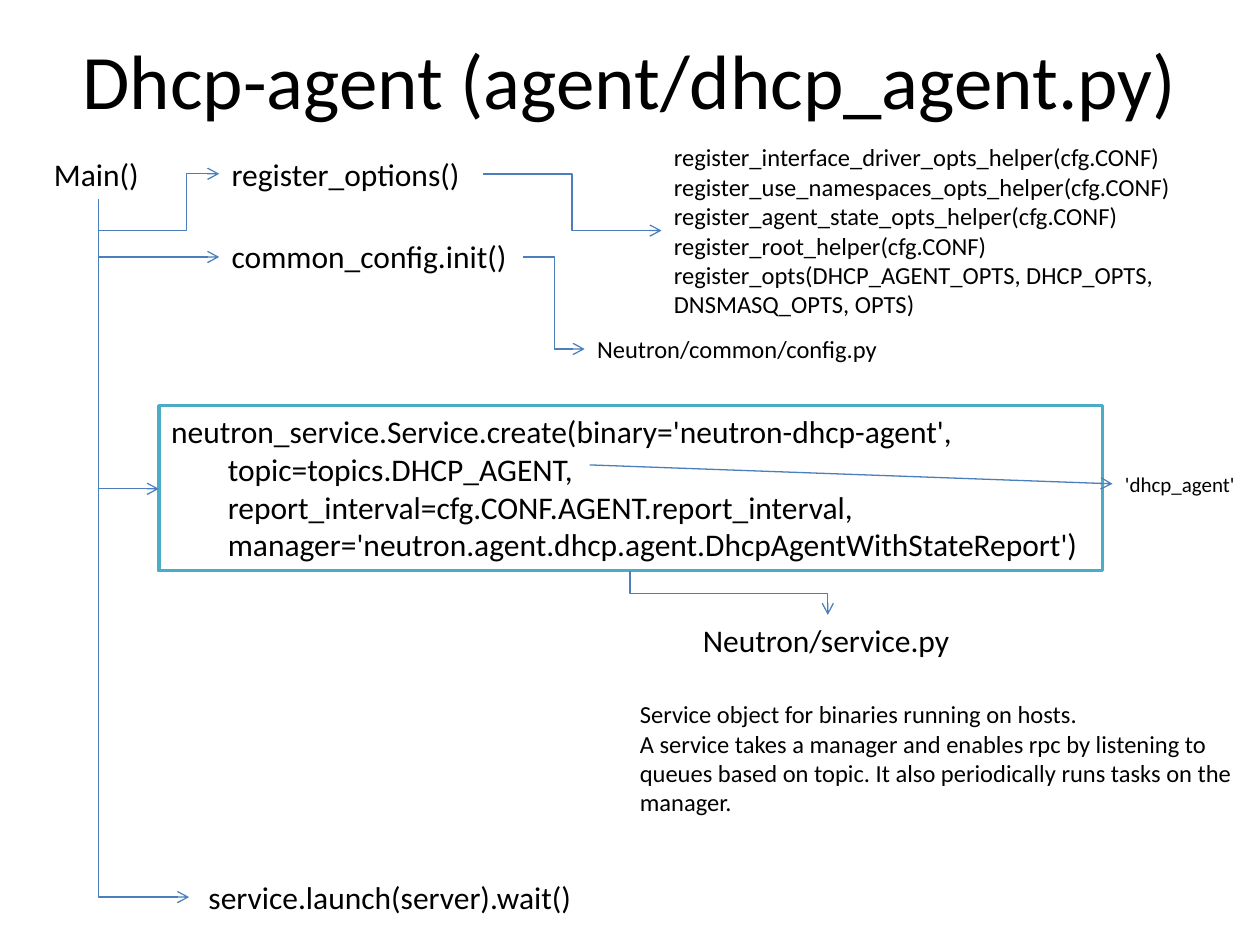
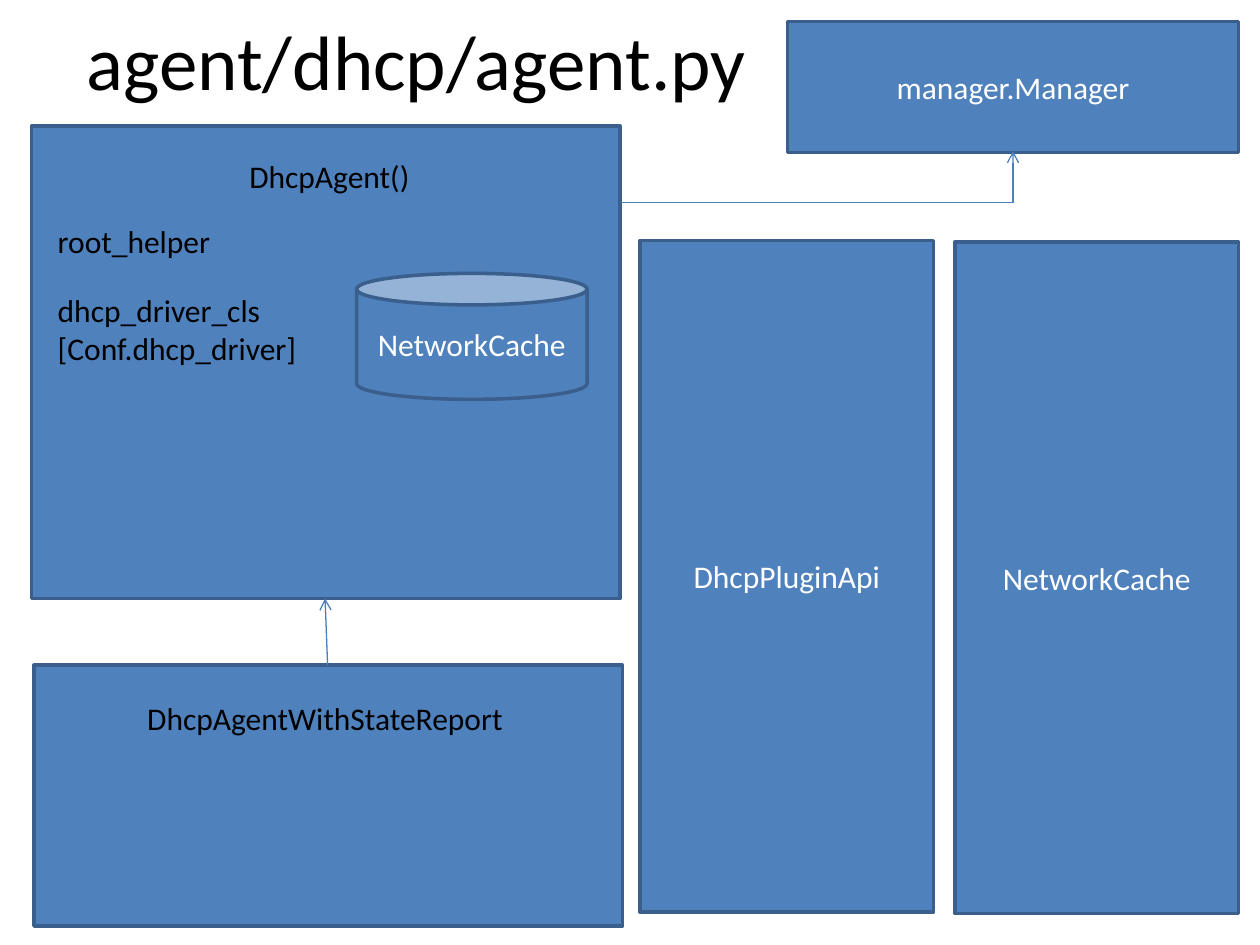
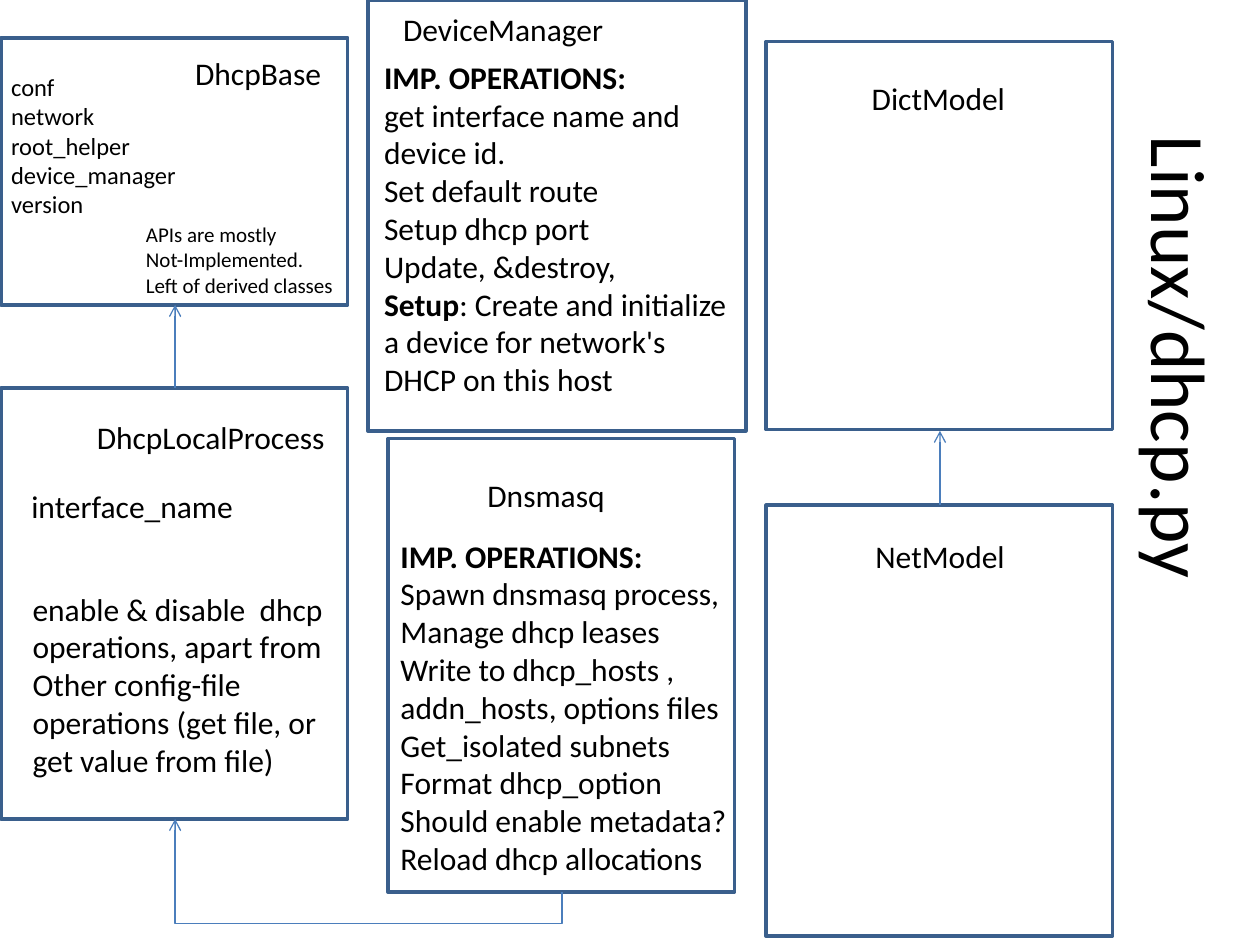
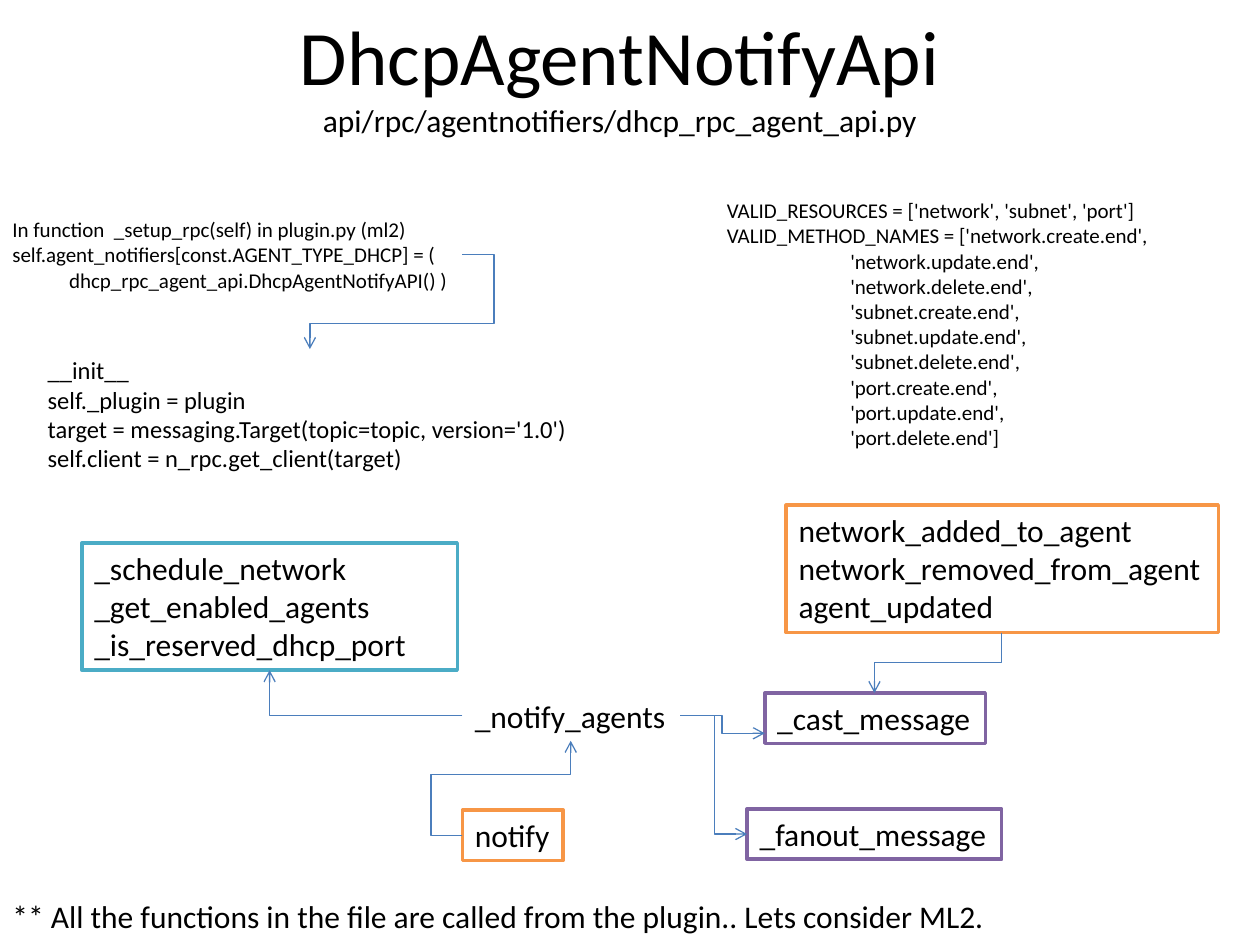
from dataclasses import dataclass
from typing import Any

from lxml import etree
from pptx import Presentation
from pptx.dml.color import RGBColor
from pptx.enum.shapes import MSO_CONNECTOR, MSO_SHAPE
from pptx.enum.text import MSO_ANCHOR, MSO_AUTO_SIZE, PP_ALIGN
from pptx.oxml.ns import qn
from pptx.util import Inches, Pt

RECTANGLE, CAN = MSO_SHAPE.RECTANGLE, MSO_SHAPE.CAN
STRAIGHT, ELBOW = MSO_CONNECTOR.STRAIGHT, MSO_CONNECTOR.ELBOW
TOP, MIDDLE = MSO_ANCHOR.TOP, MSO_ANCHOR.MIDDLE
LEFT, CENTER = PP_ALIGN.LEFT, PP_ALIGN.CENTER
GROW, FIXED = MSO_AUTO_SIZE.SHAPE_TO_FIT_TEXT, MSO_AUTO_SIZE.NONE

BLACK = RGBColor(0x00, 0x00, 0x00)
WHITE = RGBColor(0xFF, 0xFF, 0xFF)
BLUE = RGBColor(0x4F, 0x81, 0xBD)
DARK_BLUE = RGBColor(0x3A, 0x5F, 0x8C)
ARROW_BLUE = RGBColor(0x4B, 0x7E, 0xBC)
TEAL = RGBColor(0x4B, 0xAC, 0xC6)
ORANGE = RGBColor(0xF7, 0x96, 0x46)
PURPLE = RGBColor(0x80, 0x64, 0xA2)

FONT = "Calibri"
TITLE_SIZE, BODY_SIZE, DETAIL_SIZE, SMALL_SIZE = 44, 18, 14, 12
CODE_INDENT, LIST_INDENT = 0.45, 0.98
BOX_LINE, ARROW_LINE = 2, 0.75
BOLD = {"bold": True}
OPERATIONS = [("IMP. OPERATIONS:", BOLD)]


def set_all(target, values):
    for name, value in values.items():
        setattr(target, name, value)


def write(shape, lines, size=BODY_SIZE, color=BLACK, align=LEFT, anchor=TOP,
          wrap=False, auto_size=GROW, indent=0, indent_from=1):
    """Fill a shape; a line is a string or a list of (text, font values)."""
    frame = shape.text_frame
    set_all(frame, {"word_wrap": wrap, "auto_size": auto_size,
                    "vertical_anchor": anchor})
    for number, line in enumerate(lines):
        paragraph = frame.add_paragraph() if number else frame.paragraphs[0]
        paragraph.alignment = align
        if indent and number >= indent_from:
            properties = paragraph._p.get_or_add_pPr()
            properties.set("marL", str(Inches(indent)))
            properties.set("indent", "0")
        for text, values in [(line, {})] if isinstance(line, str) else line:
            run = paragraph.add_run()
            run.text = text
            set_all(run.font, {"name": FONT, "size": Pt(size)} | values)
            run.font.color.rgb = color


def add_bent(slide, points):
    """Elbow connector through right-angled points, with one to three bends."""
    (x0, y0), (x1, y1) = points[0], points[-1]
    dx, dy = x1 - x0, y1 - y0
    vertical = points[1][0] == x0
    turn = 0
    width, height = dx, dy
    if vertical:
        turn = 270 if dx > 0 and dy > 0 else 90
        width, height = (-dy, dx) if turn == 270 else (dy, -dx)
    middle_x, middle_y = (x0 + x1) / 2, (y0 + y1) / 2
    connector = slide.shapes.add_connector(
        ELBOW, Inches(middle_x - width / 2), Inches(middle_y - height / 2),
        Inches(middle_x + width / 2), Inches(middle_y + height / 2))
    properties = connector._element.spPr
    if turn:
        properties.find(qn("a:xfrm")).set("rot", str(turn * 60000))

    geometry = properties.find(qn("a:prstGeom"))
    bends = len(points) - 2
    geometry.set("prst", f"bentConnector{bends + 1}")
    guides = geometry.find(qn("a:avLst"))
    if guides is None:
        guides = etree.SubElement(geometry, qn("a:avLst"))
    along_x, along_y = lambda p: (p[0] - x0) / dx, lambda p: (p[1] - y0) / dy
    measures = (along_y, along_x) if vertical else (along_x, along_y)
    for number in range(1, bends):
        ratio = measures[number - 1](points[number])
        etree.SubElement(guides, qn("a:gd"), name=f"adj{number}",
                         fmla=f"val {round(ratio * 100000)}")
    return connector


@dataclass
class Region:
    """Part of a slide whose contents are placed from its top left corner."""
    slide: Any
    left: float = 0
    top: float = 0

    def frame(self, box):
        left, top, width, height = box
        return [Inches(value) for value in
                (self.left + left, self.top + top, width, height)]

    def text(self, box, *lines, **format_values):
        shape = self.slide.shapes.add_textbox(*self.frame(box))
        write(shape, lines, **format_values)
        return shape

    def box(self, box, *lines, line=DARK_BLUE, fill=WHITE, kind=RECTANGLE,
            **format_values):
        shape = self.slide.shapes.add_shape(kind, *self.frame(box))
        shape.shadow.inherit = False
        if fill is None:
            shape.fill.background()
        else:
            shape.fill.solid()
            shape.fill.fore_color.rgb = fill
        shape.line.color.rgb = line
        shape.line.width = Pt(BOX_LINE)
        if lines:
            write(shape, lines, **format_values)

    def blue_box(self, box, *lines, kind=RECTANGLE):
        self.box(box, *lines, fill=BLUE, kind=kind, color=WHITE, align=CENTER,
                 anchor=MIDDLE, wrap=True, auto_size=FIXED)

    def arrow(self, *points):
        points = [(self.left + x, self.top + y) for x, y in points]
        if len(points) > 2:
            connector = add_bent(self.slide, points)
        else:
            ends = [Inches(value) for point in points for value in point]
            connector = self.slide.shapes.add_connector(STRAIGHT, *ends)
        connector.line.color.rgb = ARROW_BLUE
        connector.line.width = Pt(ARROW_LINE)
        properties = connector._element.spPr
        etree.SubElement(properties.find(qn("a:ln")), qn("a:tailEnd"), type="arrow")
        etree.SubElement(properties, qn("a:effectLst"))


def add_title(slide, box, *runs, rotation=0):
    title = Region(slide).text(
        box, [(text, {"size": Pt(size)}) for text, size in runs],
        align=CENTER, anchor=MIDDLE, wrap=True, auto_size=FIXED)
    title.rotation = rotation


def call_tree(slide, left, top):
    region = Region(slide, left, top)
    region.text((0, 0, 0.88, 0.4), "Main()")
    region.text((1.41, 0, 2.09, 0.4), "register_options()")
    region.text((1.41, 0.65, 2.41, 0.4), "common_config.init()")
    region.text((1.17, 5.74, 3.17, 0.4), " service.launch(server).wait()")
    region.text((4.31, 1.42, 2.44, 0.34), "Neutron/common/config.py", size=DETAIL_SIZE)
    region.text((4.92, -0.1, 5.43, 1.51),
                "register_interface_driver_opts_helper(cfg.CONF)",
                "register_use_namespaces_opts_helper(cfg.CONF)",
                "register_agent_state_opts_helper(cfg.CONF)",
                "register_root_helper(cfg.CONF)",
                "register_opts(DHCP_AGENT_OPTS, DHCP_OPTS, DNSMASQ_OPTS, OPTS)",
                size=DETAIL_SIZE, wrap=True)

    trunk = (0.45, 0.4)
    region.arrow(trunk, (0.45, 0.65), (1.15, 0.65), (1.15, 0.2), (1.41, 0.2))
    for x, y in ((1.41, 0.86), (0.93, 2.7), (1.17, 5.94)):
        region.arrow(trunk, (0.45, y), (x, y))
    region.arrow((3.5, 0.2), (4.21, 0.2), (4.21, 0.65), (4.92, 0.65))
    region.arrow((3.82, 0.86), (4.07, 0.86), (4.07, 1.59), (4.31, 1.59))


def service_creation(slide, left, top):
    region = Region(slide, left, top)
    region.box((0, 0, 7.49, 1.31),
               "neutron_service.Service.create(binary='neutron-dhcp-agent',",
               "topic=topics.DHCP_AGENT,",
               "report_interval=cfg.CONF.AGENT.report_interval,",
               "manager='neutron.agent.dhcp.agent.DhcpAgentWithStateReport')",
               line=TEAL, indent=CODE_INDENT)
    region.text((4.22, 1.66, 2.18, 0.4), "Neutron/service.py")
    region.text((7.57, 0.47, 1.17, 0.3), "'dhcp_agent'", size=SMALL_SIZE, wrap=True)
    region.text((3.72, 2.28, 5, 1.04),
                "Service object for binaries running on hosts.",
                "A service takes a manager and enables rpc by listening to queues "
                "based on topic. It also periodically runs tasks on the manager.",
                size=DETAIL_SIZE, wrap=True)
    region.arrow((3.74, 1.31), (3.74, 1.49), (5.31, 1.49), (5.31, 1.66))
    region.arrow((3.42, 0.47), (7.57, 0.62))


def dhcp_agent_class(slide, left, top):
    region = Region(slide, left, top)
    region.blue_box((0, 0, 4.67, 3.75))
    region.text((1.63, 0.2, 1.49, 0.4), "DhcpAgent()")
    region.text((0.11, 0.71, 1.43, 0.4), "root_helper")
    region.text((0.11, 1.26, 2.12, 0.71), "dhcp_driver_cls", "[Conf.dhcp_driver]")
    region.blue_box((2.58, 1.17, 1.83, 1), "NetworkCache", kind=CAN)


def state_report_class(slide, left, top):
    region = Region(slide, left, top)
    region.blue_box((0, 0, 4.67, 2.07))
    region.text((0.8, 0.22, 3.05, 0.4), "DhcpAgentWithStateReport")


def class_outline(slide, box, name, name_box):
    """Unfilled class box with its name; returns the region for more parts."""
    left, top, width, height = box
    region = Region(slide, left, top)
    region.box((0, 0, width, height), fill=None)
    region.text((*name_box, 0.4), name)
    return region


def device_manager(slide, box):
    region = class_outline(slide, box, "DeviceManager", (0.18, 0.03, 1.81))
    region.text((0.03, 0.41, 3.13, 3.13), OPERATIONS,
                "get interface name and device id.", "Set default route",
                "Setup dhcp port", "Update, &destroy,",
                [("Setup", BOLD), (": Create and initialize", {})],
                "a device for network's", "DHCP on this host", wrap=True)


def dhcp_base(slide, box):
    region = class_outline(slide, box, "DhcpBase", (1.44, 0.08, 1.21))
    region.text((1.05, 1.41, 1.71, 0.71), "APIs are mostly", "Not-Implemented.",
                "Left of derived classes", size=SMALL_SIZE)
    region.text((-0.02, 0.22, 2.5, 1.28), "conf", "network", "root_helper",
                "device_manager", "version", size=DETAIL_SIZE, wrap=True)


def dnsmasq(slide, box):
    region = class_outline(slide, box, "Dnsmasq", (0.69, 0.25, 1.14))
    region.text((0, 0.73, 3.01, 3.13), OPERATIONS,
                "Spawn dnsmasq process,", "Manage dhcp leases",
                "Write to dhcp_hosts , addn_hosts, options files",
                "Get_isolated subnets", "Format dhcp_option",
                "Should enable metadata?", "Reload dhcp allocations", wrap=True)


def dhcp_local_process(slide, box):
    region = class_outline(slide, box, "DhcpLocalProcess", (0.66, 0.19, 2.03))
    region.text((0.14, 0.74, 1.82, 0.4), "interface_name")
    region.text((0.15, 1.55, 2.52, 1.62),
                "enable & disable  dhcp operations, apart from",
                "Other config-file operations (get file, or get value from file)",
                wrap=True)


def valid_names(slide, left, top):
    methods = [f"'{resource}.{action}.end'"
               for resource in ("network", "subnet", "port")
               for action in ("create", "update", "delete")]
    Region(slide, left, top).text(
        (0, 0, 4.33, 2.12), "VALID_RESOURCES = ['network', 'subnet', 'port']",
        f"VALID_METHOD_NAMES = [{methods[0]},",
        *[f"{method}," for method in methods[1:-1]], f"{methods[-1]}]",
        size=SMALL_SIZE, wrap=True, indent=LIST_INDENT, indent_from=2)


def notifier_setup(slide, left, top):
    region = Region(slide, left, top)
    region.text((0, 0, 3.67, 0.71),
                "In function  _setup_rpc(self) in plugin.py (ml2)",
                "self.agent_notifiers[const.AGENT_TYPE_DHCP] = (",
                "dhcp_rpc_agent_api.DhcpAgentNotifyAPI() )",
                size=SMALL_SIZE, wrap=True, indent=CODE_INDENT, indent_from=2)
    region.text((0.28, 1.1, 4.36, 1.04), "__init__", "self._plugin = plugin",
                "target = messaging.Target(topic=topic, version='1.0')",
                "self.client = n_rpc.get_client(target)", size=DETAIL_SIZE)
    region.arrow((3.67, 0.35), (3.92, 0.35), (3.92, 0.9), (2.46, 0.9), (2.46, 1.1))


def notification_flow(slide, left, top):
    region = Region(slide, left, top)
    region.box((0, 0.3, 2.98, 1.01), "_schedule_network", "_get_enabled_agents",
               "_is_reserved_dhcp_port", line=TEAL, wrap=True)
    region.box((5.59, 0, 3.43, 1.01), "network_added_to_agent",
               "network_removed_from_agent", "agent_updated", line=ORANGE)
    region.text((3.02, 1.47, 1.73, 0.4), "_notify_agents")
    region.box((5.42, 1.49, 1.75, 0.4), "_cast_message", line=PURPLE)
    region.box((3.02, 2.42, 0.8, 0.4), "notify", line=ORANGE)
    region.box((5.28, 2.41, 2.02, 0.4), "_fanout_message", line=PURPLE)

    region.arrow((3.02, 2.62), (2.77, 2.62), (2.77, 2.14), (3.88, 2.14), (3.88, 1.87))
    region.arrow((3.02, 1.67), (1.49, 1.67), (1.49, 1.31))
    region.arrow((4.75, 1.67), (5.08, 1.67), (5.08, 1.81), (5.42, 1.81))
    region.arrow((4.75, 1.67), (5.02, 1.67), (5.02, 2.61), (5.28, 2.61))
    region.arrow((7.3, 1.01), (7.3, 1.25), (6.29, 1.25), (6.29, 1.49))


def entry_point_slide(slide):
    add_title(slide, (0.5, 0, 9, 1.25),
              ("Dhcp-agent (agent/dhcp_agent.py)", TITLE_SIZE))
    service_creation(slide, 1.26, 3.22)
    call_tree(slide, 0.33, 1.18)


def agent_classes_slide(slide):
    add_title(slide, (-0.03, -0.17, 6.67, 1.28), ("agent/dhcp/agent.py", TITLE_SIZE))
    region = Region(slide)
    region.blue_box((7.58, 1.92, 2.25, 5.33), "NetworkCache")
    region.blue_box((5.08, 1.91, 2.33, 5.33), "DhcpPluginApi")
    region.blue_box((6.25, 0.17, 3.58, 1.04), "manager.Manager")
    state_report_class(slide, 0.27, 5.28)
    dhcp_agent_class(slide, 0.25, 1)
    region.arrow((4.93, 1.61), (8.04, 1.61), (8.04, 1.2))
    region.arrow((2.6, 5.28), (2.58, 4.75))


def driver_classes_slide(slide):
    add_title(slide, (4.88, 2.21, 9, 1.25), ("Linux/dhcp.py", TITLE_SIZE), rotation=90)
    device_manager(slide, (2.92, 0, 3, 3.42))
    dhcp_base(slide, (0.01, 0.3, 2.75, 2.12))
    dnsmasq(slide, (3.08, 3.48, 2.75, 3.6))
    dhcp_local_process(slide, (0.01, 3.08, 2.75, 3.42))
    class_outline(slide, (6.08, 4.01, 2.75, 3.42), "NetModel", (0.77, 0.2, 1.24))
    class_outline(slide, (6.08, 0.33, 2.75, 3.08), "DictModel", (0.74, 0.25, 1.27))
    region = Region(slide)
    region.arrow((7.46, 4.01), (7.46, 3.42))
    region.arrow((1.39, 3.08), (1.39, 2.42))
    region.arrow((4.46, 7.08), (4.46, 7.33), (1.39, 7.33), (1.39, 6.5))


def notifier_slide(slide):
    add_title(slide, (0.42, -0.04, 9, 1.25), ("DhcpAgentNotifyApi ", TITLE_SIZE),
              ("api/rpc/agentnotifiers/dhcp_rpc_agent_api.py", BODY_SIZE))
    valid_names(slide, 5.67, 1.52)
    notifier_setup(slide, 0, 1.67)
    notification_flow(slide, 0.65, 4.01)
    Region(slide).text(
        (0, 7.07, 7.95, 0.4),
        "** All the functions in the file are called from the plugin.. "
        "Lets consider ML2.")


def main():
    presentation = Presentation()
    set_all(presentation, {"slide_width": Inches(10), "slide_height": Inches(7.5)})
    blank = presentation.slide_layouts[6]
    for build in (entry_point_slide, agent_classes_slide,
                  driver_classes_slide, notifier_slide):
        build(presentation.slides.add_slide(blank))
    presentation.save("out.pptx")


if __name__ == "__main__":
    main()
